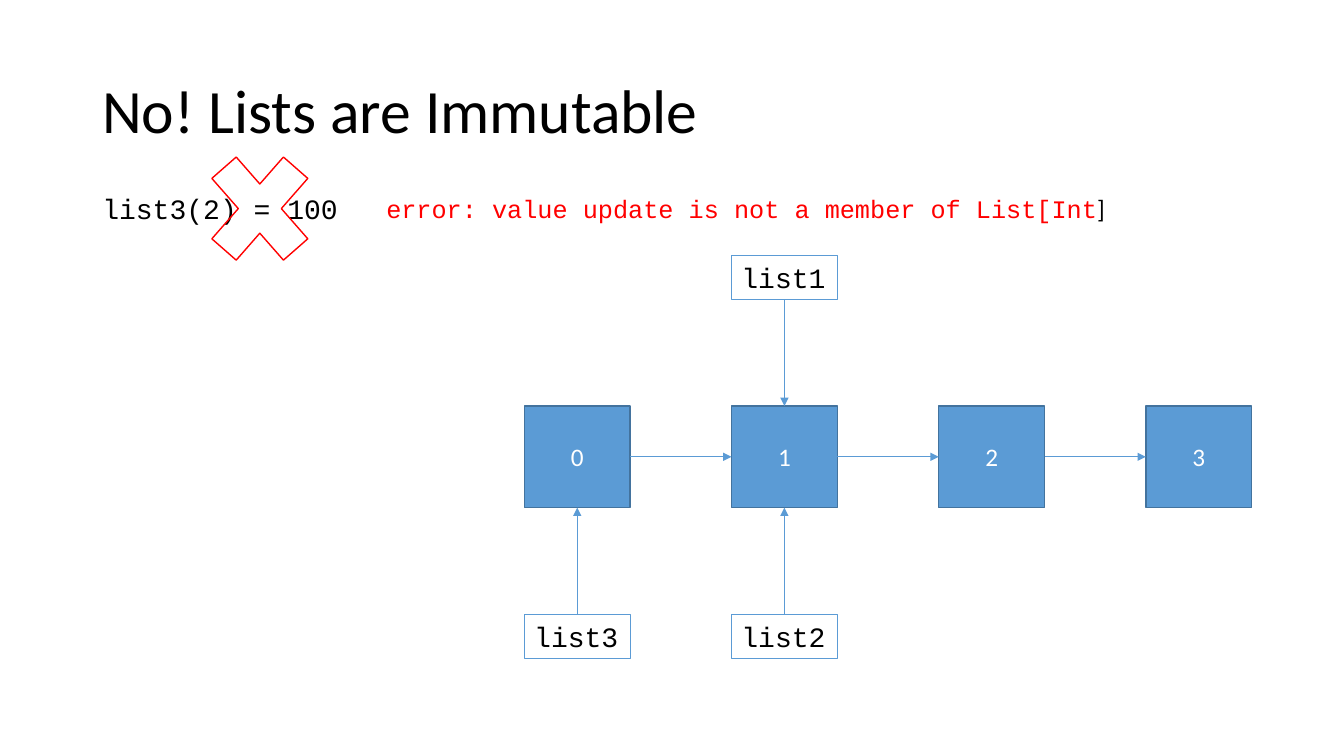
"""Build a slide showing that lists are immutable, with a linked list diagram."""
from lxml import etree
from pptx import Presentation
from pptx.dml.color import RGBColor
from pptx.enum.shapes import MSO_CONNECTOR, MSO_SHAPE
from pptx.enum.text import MSO_ANCHOR, PP_ALIGN
from pptx.oxml.ns import qn
from pptx.util import Pt

RECTANGLE, CROSS = MSO_SHAPE.RECTANGLE, MSO_SHAPE.MATH_MULTIPLY
STRAIGHT = MSO_CONNECTOR.STRAIGHT
TOP, MIDDLE = MSO_ANCHOR.TOP, MSO_ANCHOR.MIDDLE
LEFT, CENTER = PP_ALIGN.LEFT, PP_ALIGN.CENTER
SIDE_TOP, SIDE_LEFT, SIDE_BOTTOM, SIDE_RIGHT = range(4)

BLACK = RGBColor(0x00, 0x00, 0x00)
WHITE = RGBColor(0xFF, 0xFF, 0xFF)
RED = RGBColor(0xFF, 0x00, 0x00)
BLUE = RGBColor(0x5B, 0x9B, 0xD5)
DARK_BLUE = RGBColor(0x43, 0x73, 0x9E)

NODE_LEFT, NODE_TOP, NODE_STEP = 374.5, 290, 148
NODE_WIDTH, NODE_HEIGHT = 75.6, 72.6
LABEL_HEIGHT = 31.5
UPPER_LABEL_TOP, LOWER_LABEL_TOP = 182.6, 439


class ListSlide:
    """Draws the elements of one slide in a shared style."""

    body_font = "Calibri"
    code_font = "Courier New"

    def __init__(self, slide):
        self.slide = slide

    def add_runs(self, frame, runs, anchor=TOP, align=LEFT, wrap=False):
        frame.word_wrap = wrap
        frame.vertical_anchor = anchor
        paragraph = frame.paragraphs[0]
        paragraph.alignment = align
        for words, size, font, color in runs:
            run = paragraph.add_run()
            run.text = words
            run.font.size = Pt(size)
            run.font.name = font
            run.font.color.rgb = color
        return paragraph

    def text(self, left, top, width, height, runs, **layout):
        box = self.slide.shapes.add_textbox(Pt(left), Pt(top), Pt(width), Pt(height))
        return self.add_runs(box.text_frame, runs, **layout)

    def outline(self, kind, left, top, width, height, color, weight, fill=None):
        shape = self.slide.shapes.add_shape(
            kind, Pt(left), Pt(top), Pt(width), Pt(height))
        shape.shadow.inherit = False
        if fill is None:
            shape.fill.background()
        else:
            shape.fill.solid()
            shape.fill.fore_color.rgb = fill
        shape.line.color.rgb = color
        shape.line.width = Pt(weight)
        return shape

    def node(self, index):
        node = self.outline(RECTANGLE, NODE_LEFT + index * NODE_STEP, NODE_TOP,
                            NODE_WIDTH, NODE_HEIGHT, DARK_BLUE, 1, BLUE)
        self.add_runs(node.text_frame, [(str(index), 18, self.body_font, WHITE)],
                      anchor=MIDDLE, align=CENTER, wrap=True)
        return node

    def label(self, name, index, top):
        label = self.outline(RECTANGLE, NODE_LEFT + index * NODE_STEP, top,
                             NODE_WIDTH, LABEL_HEIGHT, BLUE, 0.75)
        self.add_runs(label.text_frame, [(name, 20, self.code_font, BLACK)])
        return label

    def arrow(self, source, source_side, target, target_side):
        arrow = self.slide.shapes.add_connector(STRAIGHT, Pt(0), Pt(0), Pt(0), Pt(0))
        arrow.begin_connect(source, source_side)
        arrow.end_connect(target, target_side)
        arrow.line.color.rgb = BLUE
        arrow.line.width = Pt(0.5)
        etree.SubElement(arrow.get_or_add_ln(), qn("a:tailEnd"), type="triangle")
        etree.SubElement(arrow.element.spPr, qn("a:effectLst"))


def main():
    deck = Presentation()
    deck.slide_width, deck.slide_height = Pt(960), Pt(540)
    page = ListSlide(deck.slides.add_slide(deck.slide_layouts[6]))

    title = page.text(66, 28.8, 828, 104.4,
                      [("No! Lists are Immutable", 44, page.body_font, BLACK)],
                      anchor=MIDDLE, wrap=True)
    title.line_spacing = 0.9
    page.text(66, 133.2, 184, LABEL_HEIGHT,
              [("list3(2) = 100", 20, page.code_font, BLACK)])

    nodes = [page.node(index) for index in range(4)]
    for current, following in zip(nodes, nodes[1:]):
        page.arrow(current, SIDE_RIGHT, following, SIDE_LEFT)

    for name, index, top, label_side, node_side in (
        ("list1", 1, UPPER_LABEL_TOP, SIDE_BOTTOM, SIDE_TOP),
        ("list2", 1, LOWER_LABEL_TOP, SIDE_TOP, SIDE_BOTTOM),
        ("list3", 0, LOWER_LABEL_TOP, SIDE_TOP, SIDE_BOTTOM),
    ):
        label = page.label(name, index, top)
        page.arrow(label, label_side, nodes[index], node_side)

    page.outline(CROSS, 136.4, 92.8, 98.4, 112.4, RED, 1)
    page.text(268.8, 134.7, 530, 29, [
        ("error: value update is not a member of List[Int", 18, page.code_font, RED),
        ("]", 18, page.body_font, BLACK),
    ])
    deck.save("out.pptx")


if __name__ == "__main__":
    main()
